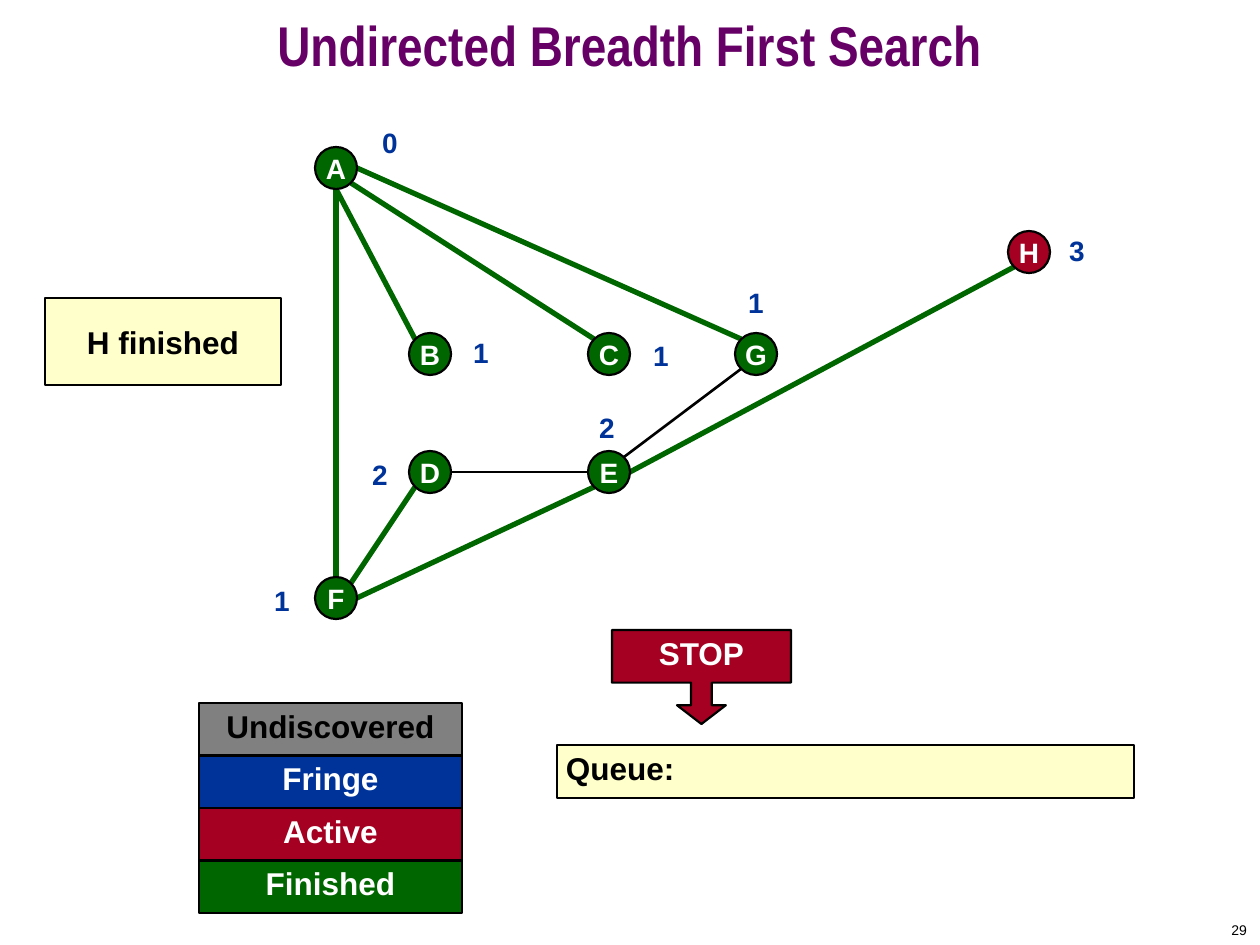
from dataclasses import dataclass

from lxml.etree import SubElement
from pptx import Presentation
from pptx.dml.color import RGBColor
from pptx.enum.shapes import MSO_CONNECTOR as Connector, MSO_SHAPE as Shape
from pptx.enum.text import MSO_ANCHOR as Anchor, MSO_AUTO_SIZE as AutoSize, PP_ALIGN as Align
from pptx.oxml.ns import qn
from pptx.util import Emu, Pt

PX_PER_INCH = 126


@dataclass(frozen=True)
class Theme:
    black: str = "000000"
    white: str = "FFFFFF"
    title: str = "660066"
    undiscovered: str = "808080"
    fringe: str = "003399"
    active: str = "A50021"
    finished: str = "006600"
    note: str = "FFFFCC"
    font: str = "Arial"
    title_font: str = "Arial Narrow"
    title_size: int = 32
    box_size: int = 18
    node_size: int = 16
    page_size: int = 8
    outline: float = 1.25
    edge: float = 1.5
    tree_edge: float = 3


THEME = Theme()

# Graph: node centres, colours, and the place of each distance label
RADIUS = 21
DIAGONAL = 15
NODES = {
    "A": ((336, 168), THEME.finished, "0", (370, 126)),
    "B": ((430, 354), THEME.finished, "1", (461, 336)),
    "C": ((609, 354), THEME.finished, "1", (641, 339)),
    "D": ((430, 472), THEME.finished, "2", (360, 457)),
    "E": ((609, 472), THEME.finished, "2", (587, 411)),
    "F": ((336, 598), THEME.finished, "1", (262, 583)),
    "G": ((756, 354), THEME.finished, "1", (736, 286)),
    "H": ((1029, 252), THEME.active, "3", (1057, 234)),
}
COMPASS = {
    "N": (0, -RADIUS), "S": (0, RADIUS), "E": (RADIUS, 0), "W": (-RADIUS, 0),
    "NE": (DIAGONAL, -DIAGONAL), "NW": (-DIAGONAL, -DIAGONAL),
    "SE": (DIAGONAL, DIAGONAL), "SW": (-DIAGONAL, DIAGONAL),
}
TREE_EDGES = [
    ("F", "N", "A", "S"), ("A", "SE", "C", "NW"), ("A", "E", "G", "NW"),
    ("A", "S", "B", "NW"), ("E", "SW", "F", "E"), ("F", "NE", "D", "SW"),
    ("E", "E", "H", "SW"),
]
OTHER_EDGES = [("E", "W", "D", "E"), ("E", "NE", "G", "SW")]

LEGEND = [
    ("Undiscovered", THEME.undiscovered, THEME.black),
    ("Fringe", THEME.fringe, THEME.white),
    ("Active", THEME.active, THEME.white),
    ("Finished", THEME.finished, THEME.white),
]


def px(length):
    return Emu(round(length * 914400 / PX_PER_INCH))


def rgb(color):
    return RGBColor.from_string(color)


def write(holder, text, size, color, font=THEME.font, bold=True, align=Align.CENTER,
          anchor=Anchor.MIDDLE, insets=(0, 0, 0, 0), wrap=True):
    """Put one formatted paragraph into a shape; insets run left, top, right, bottom."""
    frame = holder.text_frame
    frame.auto_size = AutoSize.NONE
    frame.word_wrap = wrap
    frame.vertical_anchor = anchor
    (frame.margin_left, frame.margin_top,
     frame.margin_right, frame.margin_bottom) = map(px, insets)
    paragraph = frame.paragraphs[0]
    paragraph.text = text
    paragraph.alignment = align
    paragraph.font.name = font
    paragraph.font.size = Pt(size)
    paragraph.font.bold = bold
    paragraph.font.color.rgb = rgb(color)
    return paragraph


def add_block(slide, preset, box, fill):
    block = slide.shapes.add_shape(preset, *map(px, box))
    block.shadow.inherit = False
    block.fill.solid()
    block.fill.fore_color.rgb = rgb(fill)
    block.line.color.rgb = rgb(THEME.black)
    block.line.width = Pt(THEME.outline)
    return block


def add_label(slide, box, text, size, color, **style):
    label = slide.shapes.add_textbox(*map(px, box))
    write(label, text, size, color, **style)


def add_node(slide, name, center, fill):
    x, y = center
    node = add_block(slide, Shape.OVAL, (x - RADIUS, y - RADIUS, 2 * RADIUS, 2 * RADIUS), fill)
    write(node, name, THEME.node_size, THEME.white, wrap=False)


def rim_point(name, side):
    (x, y), (dx, dy) = NODES[name][0], COMPASS[side]
    return px(x + dx), px(y + dy)


def add_edge(slide, edge, color, width):
    start, start_side, end, end_side = edge
    link = slide.shapes.add_connector(
        Connector.STRAIGHT, *rim_point(start, start_side), *rim_point(end, end_side))
    link.line.color.rgb = rgb(color)
    link.line.width = Pt(width)
    SubElement(link._element.spPr, qn("a:effectLst"))


def add_graph(slide):
    for edge in TREE_EDGES:
        add_edge(slide, edge, THEME.finished, THEME.tree_edge)
    for edge in OTHER_EDGES:
        add_edge(slide, edge, THEME.black, THEME.edge)
    for name, (center, fill, distance, (left, top)) in NODES.items():
        add_node(slide, name, center, fill)
        add_label(slide, (left, top, 40, 34), distance, THEME.node_size, THEME.fringe,
                  anchor=Anchor.TOP)


def add_legend(slide):
    for row, (state, fill, color) in enumerate(LEGEND):
        entry = add_block(slide, Shape.RECTANGLE, (199, 703 + 52.5 * row, 263, 52.5), fill)
        write(entry, state, THEME.box_size, color, anchor=Anchor.TOP, insets=(0, 4, 0, 0))


def add_queue(slide):
    queue = add_block(slide, Shape.RECTANGLE, (557, 745, 577, 53), THEME.note)
    write(queue, "Queue:", THEME.box_size, THEME.black, align=Align.LEFT,
          anchor=Anchor.TOP, insets=(9, 4, 0, 0))

    stop = add_block(slide, Shape.DOWN_ARROW_CALLOUT, (612, 630, 179, 94), THEME.active)
    for index, value in enumerate((0.22, 0.26, 0.2, 0.56)):
        stop.adjustments[index] = value
    write(stop, "STOP", THEME.box_size, THEME.white, insets=(13, 6, 13, 13), wrap=False)


def main():
    deck = Presentation()
    deck.slide_width, deck.slide_height = px(1260), px(945)
    slide = deck.slides.add_slide(deck.slide_layouts[5])

    # Title and page number
    title = slide.shapes.title
    title.left, title.top, title.width, title.height = map(px, (0, 0, 1260, 105))
    heading = write(title, "Undirected Breadth First Search", THEME.title_size, THEME.title,
                    font=THEME.title_font, insets=(13, 6, 13, 6))
    heading.line_spacing = 0.7
    add_label(slide, (998, 914, 262, 31), "29", THEME.page_size, THEME.black,
              bold=False, align=Align.RIGHT, insets=(13, 6, 13, 6))

    # Graph with its legend and queue
    add_graph(slide)
    add_legend(slide)
    add_queue(slide)

    # Current step
    step = add_block(slide, Shape.RECTANGLE, (45, 298, 236, 87), THEME.note)
    write(step, "H finished", THEME.box_size, THEME.black, insets=(13, 6, 13, 6), wrap=False)

    deck.save("out.pptx")


if __name__ == "__main__":
    main()
